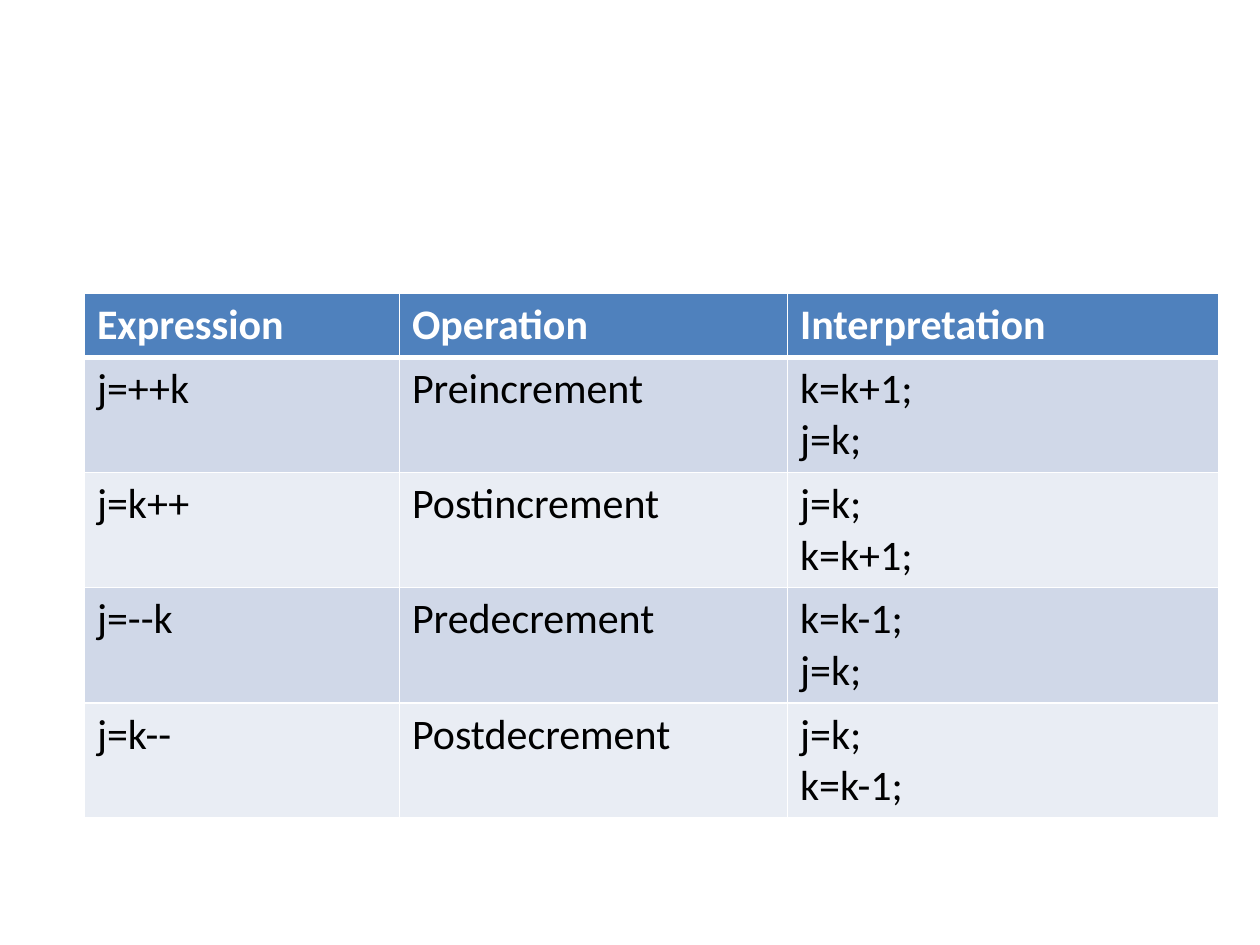
from dataclasses import dataclass

from lxml import etree
from pptx import Presentation
from pptx.dml.color import RGBColor
from pptx.oxml.ns import qn
from pptx.util import Inches, Pt

BLANK_LAYOUT = 6


@dataclass(frozen=True)
class Theme:
    font: str = "Calibri"
    text_size: int = 24
    header_fill: str = "4F81BD"
    header_text: str = "FFFFFF"
    band_fills: tuple = ("D0D8E8", "E9EDF4")
    body_text: str = "000000"
    border: str = "FFFFFF"
    thin_line: int = 1
    thick_line: int = 3


THEME = Theme()

# Table grid, in inches
TABLE_LEFT, TABLE_TOP = 0.67, 2.33
COLUMN_WIDTHS = (2.5, 3.08, 3.42)
HEADER_HEIGHT, BODY_HEIGHT = 0.5, 0.9

HEADINGS = ("Expression", "Operation", "Interpretation")
OPERATIONS = (
    ("j=++k", "Preincrement", "k=k+1;\nj=k;"),
    ("j=k++", "Postincrement", "j=k;\nk=k+1;"),
    ("j=--k", "Predecrement", "k=k-1;\nj=k;"),
    ("j=k--", "Postdecrement", "j=k;\nk=k-1;"),
)


def write_text(text_frame, text, *, color, bold=False, size=THEME.text_size):
    """Write one paragraph for each line of the text."""
    text_frame.text = text
    for paragraph in text_frame.paragraphs:
        for run in paragraph.runs:
            run.font.name = THEME.font
            run.font.size = Pt(size)
            run.font.bold = bold
            run.font.color.rgb = RGBColor.from_string(color)


def set_borders(cell, *, top, bottom):
    """Draw the four cell borders; widths are in points."""
    properties = cell._tc.get_or_add_tcPr()
    widths = {"lnL": THEME.thin_line, "lnR": THEME.thin_line, "lnT": top, "lnB": bottom}
    for side, width in widths.items():
        line = etree.SubElement(properties, qn(f"a:{side}"), w=str(Pt(width)))
        fill = etree.SubElement(line, qn("a:solidFill"))
        etree.SubElement(fill, qn("a:srgbClr"), val=THEME.border)


def format_cell(cell, row_index, text):
    is_header = row_index == 0
    set_borders(
        cell,
        top=THEME.thick_line if row_index == 1 else THEME.thin_line,
        bottom=THEME.thick_line if is_header else THEME.thin_line,
    )
    # Body rows alternate between the two band colours
    fill = THEME.header_fill if is_header else THEME.band_fills[(row_index - 1) % 2]
    cell.fill.solid()
    cell.fill.fore_color.rgb = RGBColor.from_string(fill)
    color = THEME.header_text if is_header else THEME.body_text
    write_text(cell.text_frame, text, color=color, bold=is_header)


def add_operations_table(slide):
    rows = (HEADINGS, *OPERATIONS)
    heights = [HEADER_HEIGHT] + [BODY_HEIGHT] * len(OPERATIONS)
    table = slide.shapes.add_table(
        len(rows), len(HEADINGS),
        Inches(TABLE_LEFT), Inches(TABLE_TOP),
        Inches(sum(COLUMN_WIDTHS)), Inches(sum(heights)),
    ).table
    for column, width in zip(table.columns, COLUMN_WIDTHS):
        column.width = Inches(width)
    for row_index, texts in enumerate(rows):
        table.rows[row_index].height = Inches(heights[row_index])
        for column_index, text in enumerate(texts):
            format_cell(table.cell(row_index, column_index), row_index, text)


def main():
    presentation = Presentation()
    presentation.slide_width = Inches(10)
    presentation.slide_height = Inches(7.5)
    slide = presentation.slides.add_slide(presentation.slide_layouts[BLANK_LAYOUT])
    add_operations_table(slide)
    presentation.save("out.pptx")


if __name__ == "__main__":
    main()
